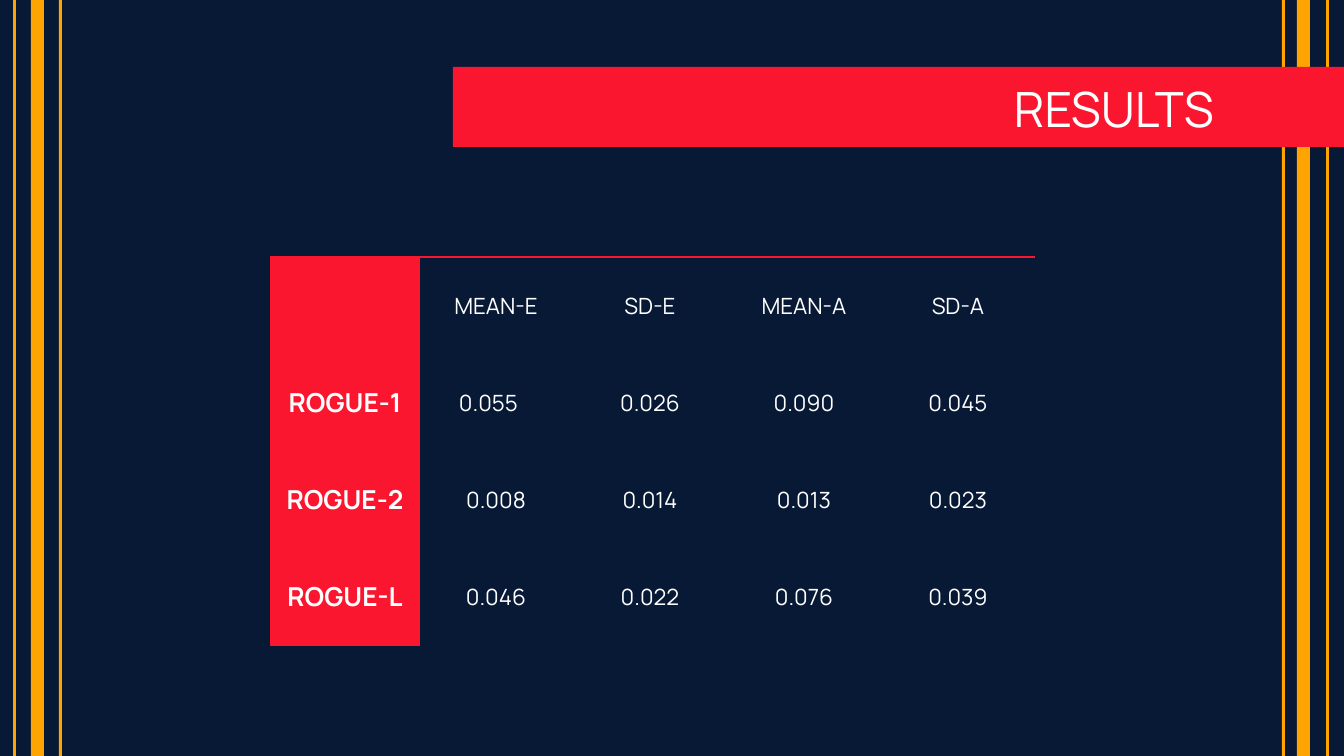
from pptx import Presentation
from pptx.dml.color import RGBColor
from pptx.enum.shapes import MSO_SHAPE as Shape
from pptx.enum.text import MSO_ANCHOR as Anchor, PP_ALIGN as Align
from pptx.oxml.ns import qn
from pptx.util import Pt
from lxml.etree import SubElement

NAVY = RGBColor(0x08, 0x19, 0x35)
RED = RGBColor(0xFA, 0x16, 0x2E)
AMBER = RGBColor(0xFF, 0xA4, 0x00)
WHITE = RGBColor(0xFF, 0xFF, 0xFF)

WIDTH, HEIGHT = 1344, 756
INSET = 13
THIN, THICK = 3, 13
STRIPES = [(13, THIN), (31, THICK), (59, THIN),
           (1282, THIN), (1297, THICK), (1326, THIN)]
LABEL_COLUMN, VALUE_COLUMN, ROW = 148, 154, 97
RESULTS = [
    ["", "MEAN-E", "SD-E", "MEAN-A", "SD-A"],
    ["ROGUE-1", "0.055", "0.026", "0.090", "0.045"],
    ["ROGUE-2", "0.008", "0.014", "0.013", "0.023"],
    ["ROGUE-L", "0.046", "0.022", "0.076", "0.039"],
]


def px(length):
    return round(length * 9144000 / WIDTH)


class Painter:
    font = "Manrope"

    def __init__(self, deck):
        self.page = deck.slides.add_slide(deck.slide_layouts[5])
        fill = self.page.background.fill
        fill.solid()
        fill.fore_color.rgb = NAVY

    def style(self, para, size, align, bold=False):
        para.alignment = align
        para.font.name = self.font
        para.font.size = Pt(size)
        para.font.bold = bold
        para.font.color.rgb = WHITE

    def bar(self, left, top, width, height, color):
        shape = self.page.shapes.add_shape(
            Shape.RECTANGLE, px(left), px(top), px(width), px(height))
        shape.shadow.inherit = False
        shape.fill.solid()
        shape.fill.fore_color.rgb = color
        shape.line.fill.background()

    def title(self, text, left, top, width, height):
        box = self.page.shapes.title
        box.left, box.top = px(left), px(top)
        box.width, box.height = px(width), px(height)
        frame = box.text_frame
        frame.text = text
        frame.vertical_anchor = Anchor.MIDDLE
        frame.margin_left = frame.margin_top = frame.margin_bottom = px(INSET)
        frame.margin_right = px(25)
        self.style(frame.paragraphs[0], 26, Align.RIGHT)
        tree = self.page.shapes._spTree
        tree.remove(box._element)
        tree.append(box._element)

    def borders(self, cell, red_sides):
        properties = cell._tc.get_or_add_tcPr()
        for side in "LRTB":
            line = SubElement(properties, qn(f"a:ln{side}"), w=str(Pt(1.5)))
            if side in red_sides:
                fill = SubElement(line, qn("a:solidFill"))
                SubElement(fill, qn("a:srgbClr"), val=str(RED))
            else:
                SubElement(line, qn("a:noFill"))

    def cell(self, cell, text, label, red_sides):
        self.borders(cell, red_sides)
        if label:
            cell.fill.solid()
            cell.fill.fore_color.rgb = RED
        else:
            cell.fill.background()
        cell.text = text
        cell.vertical_anchor = Anchor.MIDDLE
        cell.margin_left = cell.margin_right = px(INSET)
        cell.margin_top = cell.margin_bottom = px(INSET)
        self.style(cell.text_frame.paragraphs[0], 14 if label else 12,
                   Align.CENTER, label)

    def table(self, rows, left, top):
        widths = [LABEL_COLUMN] + [VALUE_COLUMN] * (len(rows[0]) - 1)
        table = self.page.shapes.add_table(
            len(rows), len(widths), px(left), px(top),
            px(sum(widths)), px(ROW * len(rows))).table
        table.first_row = table.horz_banding = False
        for column, width in zip(table.columns, widths):
            column.width = px(width)
        for r, values in enumerate(rows):
            table.rows[r].height = px(ROW)
            for c, text in enumerate(values):
                sides = "LRTB" if c == 0 else "L" * (c == 1) + "T" * (r == 0)
                self.cell(table.cell(r, c), text, c == 0, sides)
        return table


def main():
    deck = Presentation()
    deck.slide_width, deck.slide_height = px(WIDTH), px(HEIGHT)
    painter = Painter(deck)
    for left, width in STRIPES:
        painter.bar(left, 0, width, HEIGHT, AMBER)
    painter.bar(453, 67, WIDTH - 453, 80, RED)
    painter.title("RESULTS", 488, 66, 751, 85)
    table = painter.table(RESULTS, 271, 257)
    shifted = table.cell(1, 1)
    shifted.margin_left = px(40)
    shifted.text_frame.paragraphs[0].alignment = Align.LEFT
    deck.save("out.pptx")


if __name__ == "__main__":
    main()
